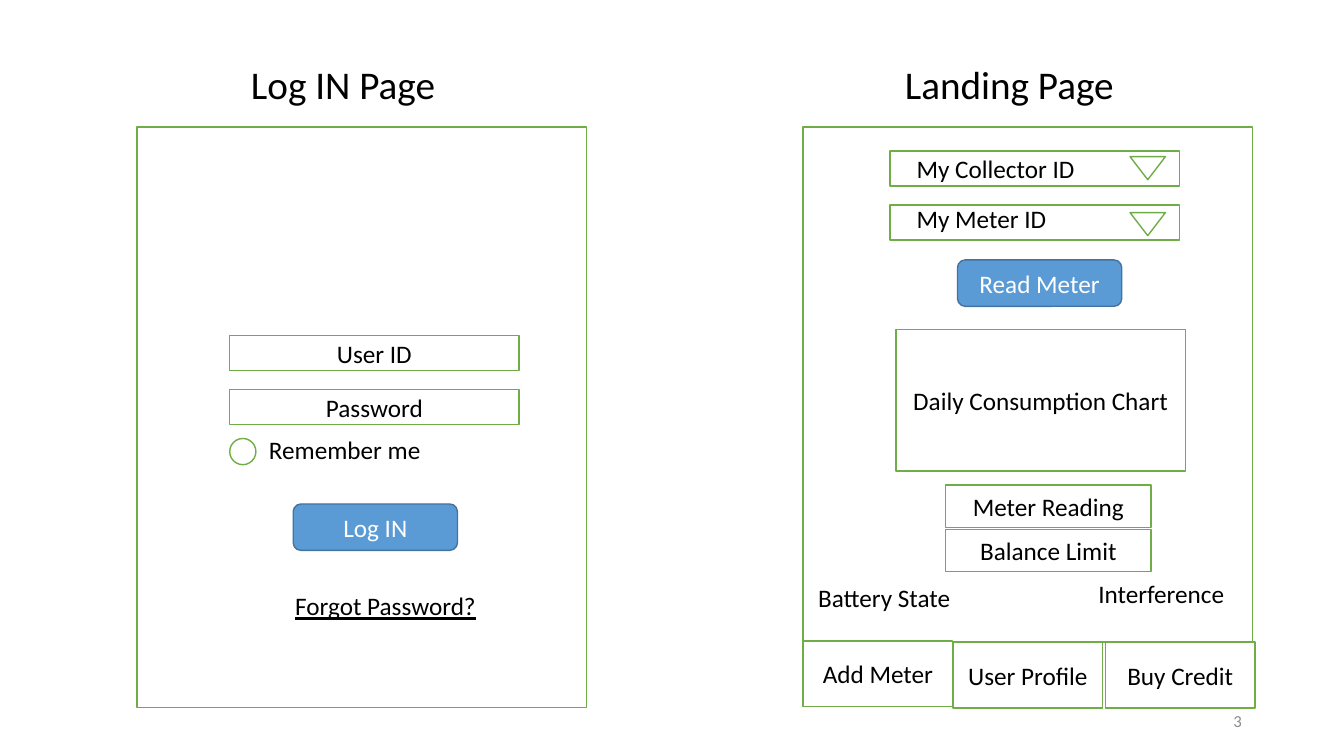
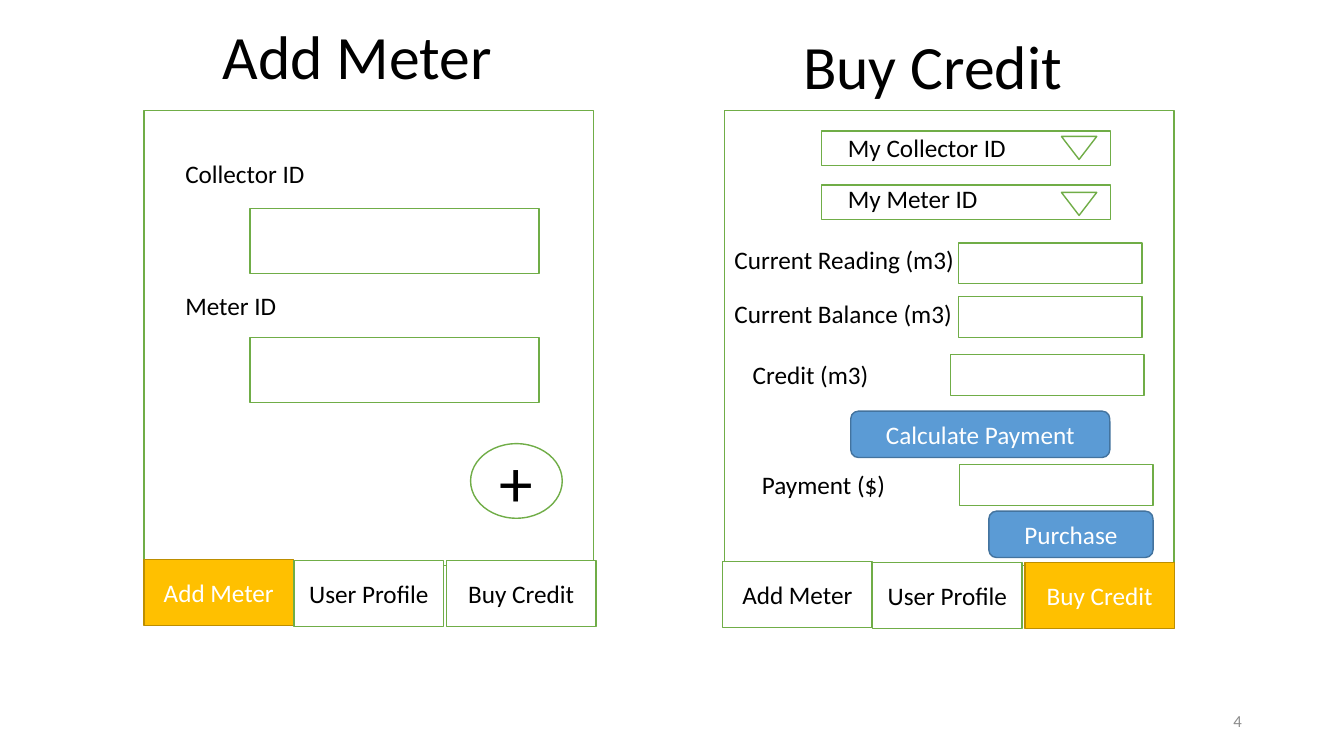
from pptx import Presentation
from pptx.dml.color import RGBColor
from pptx.enum.shapes import MSO_SHAPE as SHAPE
from pptx.enum.text import MSO_ANCHOR as ANCHOR, MSO_AUTO_SIZE as AUTO, PP_ALIGN as ALIGN
from pptx.util import Cm, Pt

COLORS = {
    "white": "FFFFFF", "black": "000000", "green": "70AD47",
    "blue": "5B9BD5", "blue_edge": "43739E",
    "amber": "FFC000", "amber_edge": "BD8E00", "grey": "8C8C8C",
}
# style: fill, line, text
STYLES = {
    "outline": ("white", "green", "black"),
    "button": ("blue", "blue_edge", "white"),
    "active": ("amber", "amber_edge", "white"),
}
FONT = "Calibri"
PANEL_W = 11.33
FIELD_W = 7.29
ROW_H = 0.88
BUTTON_W, BUTTON_H = 4.14, 1.17
LABEL_H = 1.02
TAB_W, TAB_H = 3.77, 1.66


def rgb(name):
    """Look up a colour by name."""
    return RGBColor.from_string(COLORS[name])


def write(tf, text, size=18, color="black", align=ALIGN.LEFT, underline=None):
    """Put one formatted run into a text frame."""
    p = tf.paragraphs[0]
    p.alignment = align
    r = p.add_run()
    r.text = text
    r.font.name = FONT
    r.font.size = Pt(size)
    r.font.color.rgb = rgb(color)
    r.font.underline = underline
    return p


def add_box(slide, left, top, width, height, text="", style="outline",
            kind=SHAPE.RECTANGLE, size=18):
    """Add a wireframe shape, with centred text if any."""
    fill, line, color = STYLES[style]
    sp = slide.shapes.add_shape(kind, Cm(left), Cm(top), Cm(width), Cm(height))
    sp.shadow.inherit = False
    sp.fill.solid()
    sp.fill.fore_color.rgb = rgb(fill)
    sp.line.color.rgb = rgb(line)
    sp.line.width = Pt(1)
    if text:
        sp.text_frame.vertical_anchor = ANCHOR.MIDDLE
        write(sp.text_frame, text, size, color, ALIGN.CENTER)
    return sp


def add_button(slide, left, top, text, width=BUTTON_W):
    """Add a blue rounded button."""
    add_box(slide, left, top, width, BUTTON_H, text, "button", SHAPE.ROUNDED_RECTANGLE)


def add_label(slide, left, top, width, text, **fmt):
    """Add a single line of text that does not wrap."""
    sp = slide.shapes.add_textbox(Cm(left), Cm(top), Cm(width), Cm(LABEL_H))
    tf = sp.text_frame
    tf.word_wrap = False
    tf.auto_size = AUTO.SHAPE_TO_FIT_TEXT
    write(tf, text, **fmt)


def format_title(sp, text, left, top, width, height, size, align, spacing=0.9):
    """Move and format a page heading."""
    sp.left, sp.top, sp.width, sp.height = Cm(left), Cm(top), Cm(width), Cm(height)
    tf = sp.text_frame
    tf.word_wrap = True
    tf.auto_size = AUTO.NONE
    tf.vertical_anchor = ANCHOR.MIDDLE
    write(tf, text, size, align=align).line_spacing = spacing


def add_heading(slide, *args, **kwargs):
    """Add the heading of a slide's other page."""
    sp = slide.shapes.add_textbox(0, 0, Cm(1), Cm(1))
    format_title(sp, *args, **kwargs)


def add_selectors(slide, left, top):
    """Add the collector and meter drop-downs."""
    rows = [("My Collector ID", 4.55, -0.08, 0.14),
            ("My Meter ID", 3.81, -0.16, 0.19)]
    for i, (text, width, label_dy, arrow_dy) in enumerate(rows):
        y = top + i * 1.36
        add_box(slide, left, y, FIELD_W, ROW_H)
        add_label(slide, left + 0.42, y + label_dy, width, text)
        arrow = add_box(slide, left + 6.05, y + arrow_dy, 0.89, 0.58,
                        kind=SHAPE.ISOSCELES_TRIANGLE)
        arrow._element.spPr.xfrm.set("flipV", "1")


def add_tabs(slide, left, top, active=None):
    """Add the bottom navigation, with the active tab in amber."""
    tabs = [("Add Meter", 0, 0), ("User Profile", 3.78, 0.03), ("Buy Credit", 7.62, 0.03)]
    for text, dx, dy in tabs:
        style = "active" if text == active else "outline"
        add_box(slide, left + dx, top + dy, TAB_W, TAB_H, text, style)


def add_slide(prs, number):
    """Add a title-only slide with its page number."""
    slide = prs.slides.add_slide(prs.slide_layouts[5])
    sp = slide.shapes.add_textbox(Cm(23.93), Cm(17.65), Cm(7.62), Cm(LABEL_H))
    tf = sp.text_frame
    tf.word_wrap = True
    tf.vertical_anchor = ANCHOR.MIDDLE
    write(tf, str(number), 12, "grey", ALIGN.RIGHT)
    return slide


def draw_login(slide):
    """Draw the log-in page."""
    add_heading(slide, "Log IN Page", 4.24, 1.45, 8.81, 1.45, 28, ALIGN.CENTER)
    add_box(slide, 3.45, 3.2, PANEL_W, 14.63)
    for i, text in enumerate(["User ID", "Password"]):
        add_box(slide, 5.79, 8.46 + i * 1.36, FIELD_W, ROW_H, text)
    add_box(slide, 5.79, 11.05, 0.66, 0.66, kind=SHAPE.OVAL)
    add_label(slide, 6.53, 10.82, 4.37, "Remember me")
    add_button(slide, 7.39, 12.7, "Log IN")
    add_label(slide, 7.16, 14.76, 5.11, "Forgot Password?", align=ALIGN.CENTER, underline=True)


def draw_landing(slide):
    """Draw the landing page."""
    format_title(slide.shapes.title, "Landing Page", 21.03, 1.45, 8.81, 1.45, 28, ALIGN.CENTER)
    add_box(slide, 20.24, 3.2, PANEL_W, 12.98)
    add_selectors(slide, 22.43, 3.81)
    add_button(slide, 24.13, 6.55, "Read Meter")
    add_box(slide, 22.58, 8.31, FIELD_W, 3.56, "Daily Consumption Chart")
    for i, text in enumerate(["Meter Reading", "Balance Limit"]):
        add_box(slide, 23.83, 12.22 + i * 1.12, 5.18, 1.07, text)
    add_label(slide, 20.37, 14.55, 3.89, "Battery State")
    add_label(slide, 27.43, 14.45, 3.73, "Interference")
    add_tabs(slide, 20.24, 16.15)


def draw_add_meter(slide):
    """Draw the page that registers a meter."""
    format_title(slide.shapes.title, "Add Meter", 5.36, 0.53, 7.85, 1.93, 44, ALIGN.LEFT)
    add_box(slide, 3.63, 2.79, PANEL_W, 11.46)
    for i, (text, width) in enumerate([("Collector ID", 3.56), ("Meter ID", 2.82)]):
        add_label(slide, 4.42, 3.86 + i * 3.33, width, text)
        add_box(slide, 6.3, 5.26 + i * 3.25, FIELD_W, 1.63)
    add_box(slide, 11.86, 11.18, 2.31, 1.88, "+", kind=SHAPE.OVAL, size=48)
    add_tabs(slide, 3.63, 14.1, "Add Meter")


def draw_buy_credit(slide):
    """Draw the page that buys credit."""
    add_heading(slide, "Buy Credit", 19.99, 0.86, 7.85, 1.88, 44, ALIGN.LEFT, spacing=0.8)
    add_box(slide, 18.26, 2.79, PANEL_W, 11.46)
    add_selectors(slide, 20.7, 3.3)
    # text, label left / top / width, field left / top / width
    fields = [
        ("Current Reading (m3)", 18.26, 6.02, 6.12, 24.16, 6.12, 4.62),
        ("Current Balance (m3)", 18.26, 7.39, 6.07, 24.16, 7.47, 4.62),
        ("Credit (m3)", 18.72, 8.94, 3.45, 23.95, 8.94, 4.88),
        ("Payment ($)", 18.95, 11.71, 3.66, 24.18, 11.71, 4.88),
    ]
    for text, x, y, width, field_x, field_y, field_w in fields:
        add_box(slide, field_x, field_y, field_w, 1.03)
        add_label(slide, x, y, width, text)
    add_button(slide, 21.44, 10.36, "Calculate Payment", 6.53)
    add_button(slide, 24.92, 12.88, "Purchase")
    add_tabs(slide, 18.21, 14.15, "Buy Credit")


def main():
    """Build and save both slides."""
    prs = Presentation()
    prs.slide_width, prs.slide_height = Cm(33.87), Cm(19.05)
    pages = [(draw_landing, draw_login), (draw_add_meter, draw_buy_credit)]
    for number, draws in enumerate(pages, start=3):
        slide = add_slide(prs, number)
        for draw in draws:
            draw(slide)
    prs.save("out.pptx")


main()
